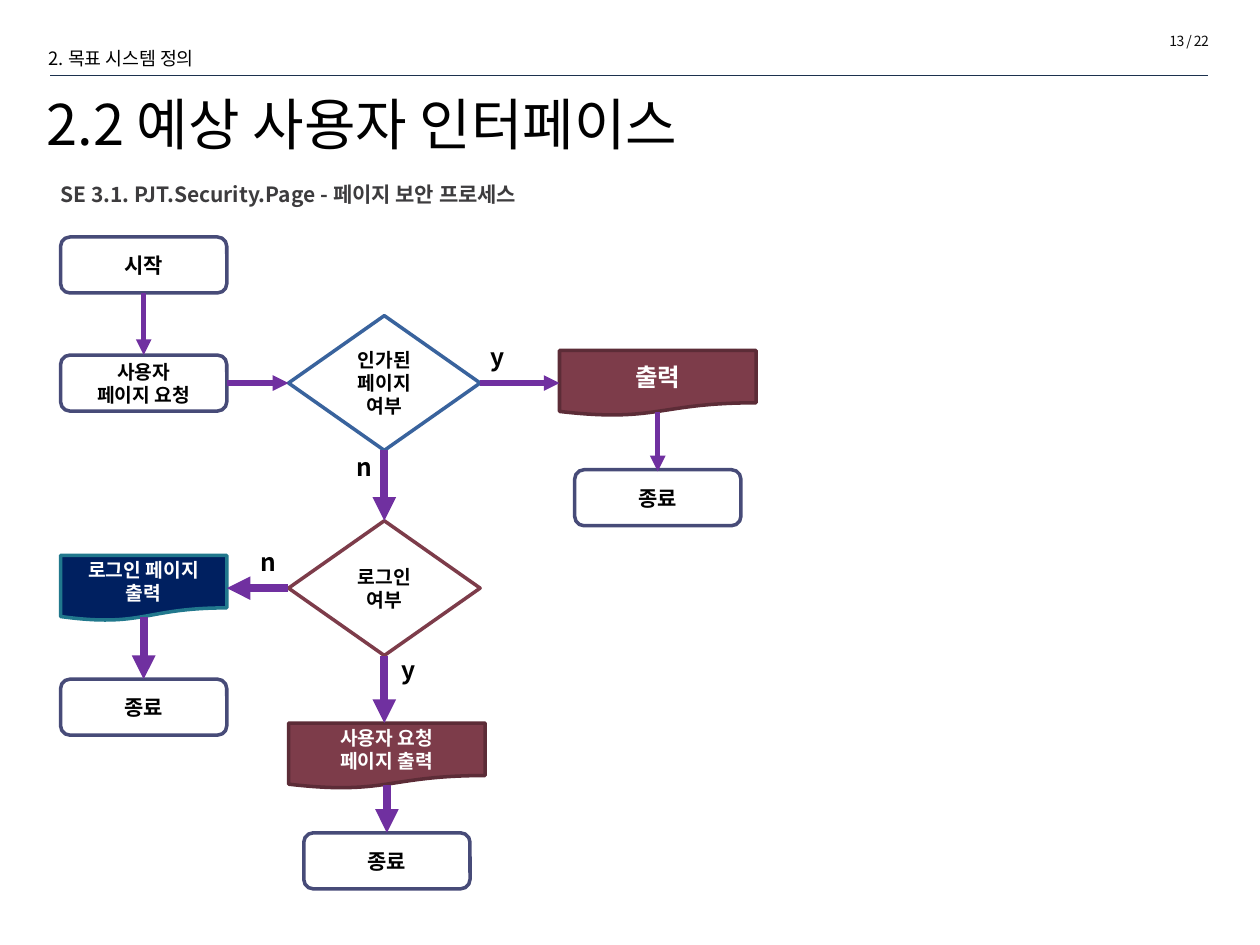
"""Build the page security flowchart slide."""
from lxml import etree
from pptx import Presentation
from pptx.dml.color import RGBColor
from pptx.enum.shapes import MSO_CONNECTOR, MSO_SHAPE
from pptx.enum.text import MSO_ANCHOR, PP_ALIGN
from pptx.oxml.ns import qn
from pptx.util import Pt

FONT = "Noto Sans CJK KR"
LINE = MSO_CONNECTOR.STRAIGHT
PILL = MSO_SHAPE.ROUNDED_RECTANGLE
RHOMB = MSO_SHAPE.DIAMOND
DOC = MSO_SHAPE.FLOWCHART_DOCUMENT
MIDDLE, TOP = MSO_ANCHOR.MIDDLE, MSO_ANCHOR.TOP
LEFT, CENTER, RIGHT = PP_ALIGN.LEFT, PP_ALIGN.CENTER, PP_ALIGN.RIGHT

BLACK = RGBColor(0x00, 0x00, 0x00)
WHITE = RGBColor(0xFF, 0xFF, 0xFF)
GRAY = RGBColor(0x3D, 0x3C, 0x3E)
INK = RGBColor(0x0D, 0x0D, 0x0D)
RULE = RGBColor(0x1C, 0x31, 0x4E)
SLATE = RGBColor(0x47, 0x4B, 0x78)
BLUE = RGBColor(0x39, 0x63, 0x9D)
WINE = RGBColor(0x7D, 0x3C, 0x4A)
PLUM = RGBColor(0x5C, 0x2C, 0x37)
NAVY = RGBColor(0x00, 0x20, 0x60)
TEAL = RGBColor(0x21, 0x78, 0x8D)
PURPLE = RGBColor(0x70, 0x30, 0xA0)


def write(frame, lines, size, color=BLACK, bold=False, align=LEFT, space=None):
    """Fill a text frame with one paragraph for each line."""
    for i, line in enumerate(lines):
        para = frame.add_paragraph() if i else frame.paragraphs[0]
        para.alignment = align
        if space:
            para.line_spacing = Pt(space)
        run = para.add_run()
        run.text = line
        font = run.font
        font.name, font.size, font.bold = FONT, Pt(size), bold
        font.color.rgb = color
        east = etree.SubElement(run._r.get_or_add_rPr(), qn("a:ea"))
        east.set("typeface", FONT)


def label(slide, box, text, size, wrap=True, **style):
    """Add a text box and return its frame."""
    frame = slide.shapes.add_textbox(*map(Pt, box)).text_frame
    frame.word_wrap = wrap
    frame.vertical_anchor = TOP
    write(frame, [text], size, **style)
    return frame


def stroke(slide, start, end, color, width, arrow=False):
    """Draw a straight line, with an arrowhead if asked."""
    line = slide.shapes.add_connector(LINE, *map(Pt, (*start, *end)))
    line.line.color.rgb = color
    line.line.width = Pt(width)
    if arrow:
        tail = etree.SubElement(line.line._get_or_add_ln(), qn("a:tailEnd"))
        tail.set("type", "triangle")
    etree.SubElement(line._element.spPr, qn("a:effectLst"))


def node(slide, kind, mid, size, lines, edge, fill=WHITE, text=12):
    """Add a flowchart shape around its middle point."""
    (x, y), (w, h) = mid, size
    shape = slide.shapes.add_shape(
        kind, Pt(x - w / 2), Pt(y - h / 2), Pt(w), Pt(h))
    shape.shadow.inherit = False
    shape.fill.solid()
    shape.fill.fore_color.rgb = fill
    shape.line.color.rgb = edge
    shape.line.width = Pt(2)
    frame = shape.text_frame
    frame.word_wrap = True
    frame.vertical_anchor = MIDDLE
    write(frame, lines, text, BLACK if fill == WHITE else WHITE, True, CENTER,
          13.2 if text == 11 else None)


def header(slide, x, y, w):
    """Place section name, page number, rule, title and subtitle."""
    label(slide, (x - 8, y, 125, 30), "2. 목표 시스템 정의", 10.5, space=25)
    page = label(slide, (x + w - 117.5, y + 4, 125, 17), "13 / 22", 8,
                 color=INK, align=RIGHT)
    page.paragraphs[0].runs[0].font._element.set("spc", "-30")
    stroke(slide, (x, y + 32.4), (x + w, y + 32.4), RULE, 0.25)
    title = slide.shapes.title
    title.left, title.top = Pt(x - 9.4), Pt(y + 32.4)
    title.width, title.height = Pt(668), Pt(67.7)
    title.text_frame.vertical_anchor = MIDDLE
    write(title.text_frame, ["2.2 예상 사용자 인터페이스"], 32, space=25)
    label(slide, (x - 1.4, y + 89.3, 456, 21),
          "SE 3.1. PJT.Security.Page - 페이지 보안 프로세스", 12,
          color=GRAY, bold=True)


def flow(slide, x, y):
    """Place the flowchart with its top left corner at x, y."""
    pill, rhomb, wide, slim = (95, 32), (109.5, 77), (112.3, 37.4), (95, 37.4)
    a, b, c = x + 47.5, x + 185, x + 341.3
    d = b + 1.5
    top, ask, log = y + 16, y + 83.5, y + 200.7
    done, quit, show, last = y + 149, y + 268.7, y + 296.5, y + 356.5
    for mid, text in (((a, top), "시작"), ((c, done), "종료"),
                      ((a, quit), "종료"), ((d, last), "종료")):
        node(slide, PILL, mid, pill, [text], SLATE)
    node(slide, PILL, (a, ask), pill, ["사용자", "페이지 요청"], SLATE, text=11)
    node(slide, RHOMB, (b, ask), rhomb, ["인가된", "페이지 여부"], BLUE, text=11)
    node(slide, RHOMB, (b, log), rhomb, ["로그인 여부"], WINE, text=11)
    node(slide, DOC, (c, ask), wide, ["출력"], PLUM, WINE, 14)
    node(slide, DOC, (a, log), slim, ["로그인 페이지", "출력"], TEAL, NAVY, 11)
    node(slide, DOC, (d, show), wide, ["사용자 요청", "페이지 출력"],
         PLUM, WINE, 11)
    half, tip, foot = 16, 38.5, 16.4
    side, wing = 47.5, 54.75
    for start, end, width in (
            ((a, top + half), (a, ask - half), 3),
            ((a + side, ask), (b - wing, ask), 3),
            ((b + wing, ask), (c - 56.15, ask), 3),
            ((c, ask + foot), (c, done - half + 1), 3),
            ((b, ask + tip), (b, log - tip), 4.5),
            ((b - wing, log), (a + side, log), 4.5),
            ((a, log + foot), (a, quit - half), 4.5),
            ((b, log + tip), (b, show - 18.7), 4.5),
            ((d, show + foot), (d, last - half), 4.5)):
        stroke(slide, start, end, PURPLE, width, True)
    for text, left, high in (("n", 162, 119.5), ("n", 107.3, 173.5),
                             ("y", 188, 235.3), ("y", 238.4, 56.8)):
        label(slide, (x + left, y + high, 22, 24.5), text, 14, False, bold=True)


def main():
    """Build and save the slide."""
    deck = Presentation()
    deck.slide_width, deck.slide_height = Pt(720), Pt(540)
    slide = deck.slides.add_slide(deck.slide_layouts[5])
    header(slide, 28.8, 10.8, 661.7)
    flow(slide, 34.6, 135.4)
    deck.save("out.pptx")


main()
